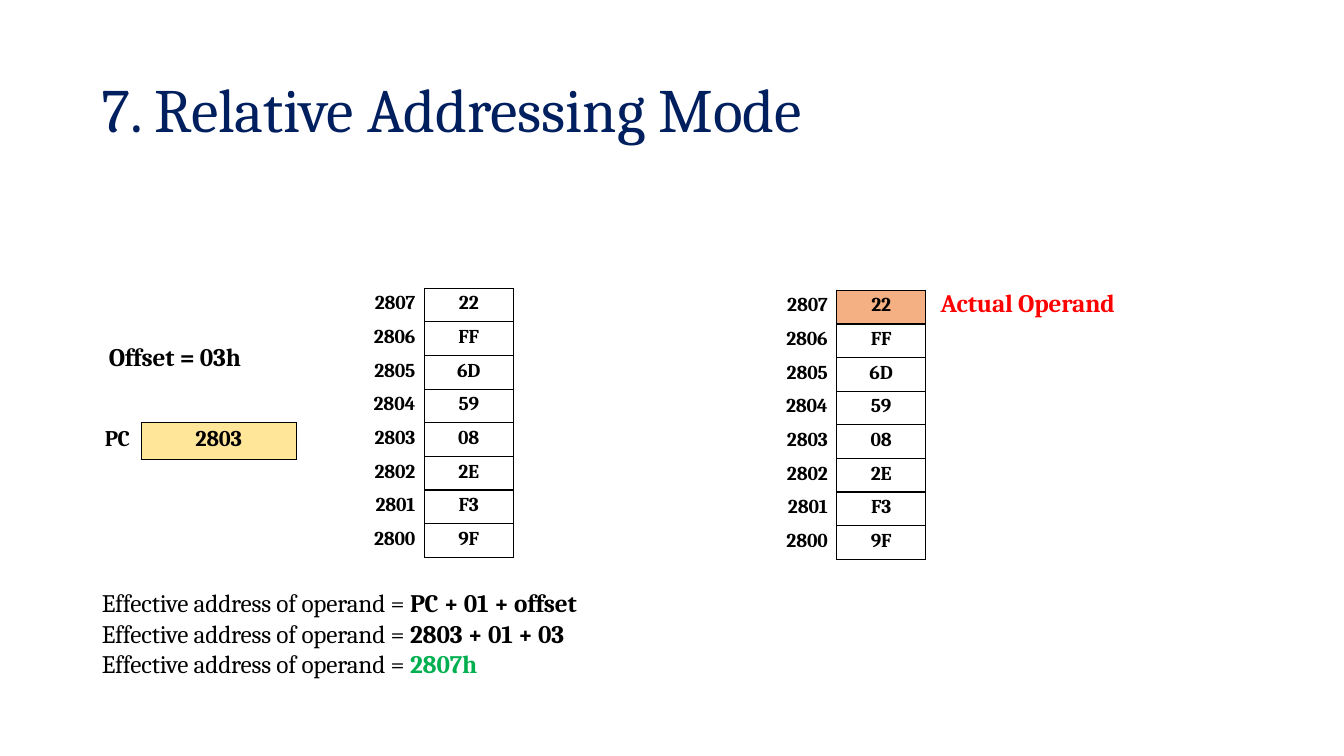
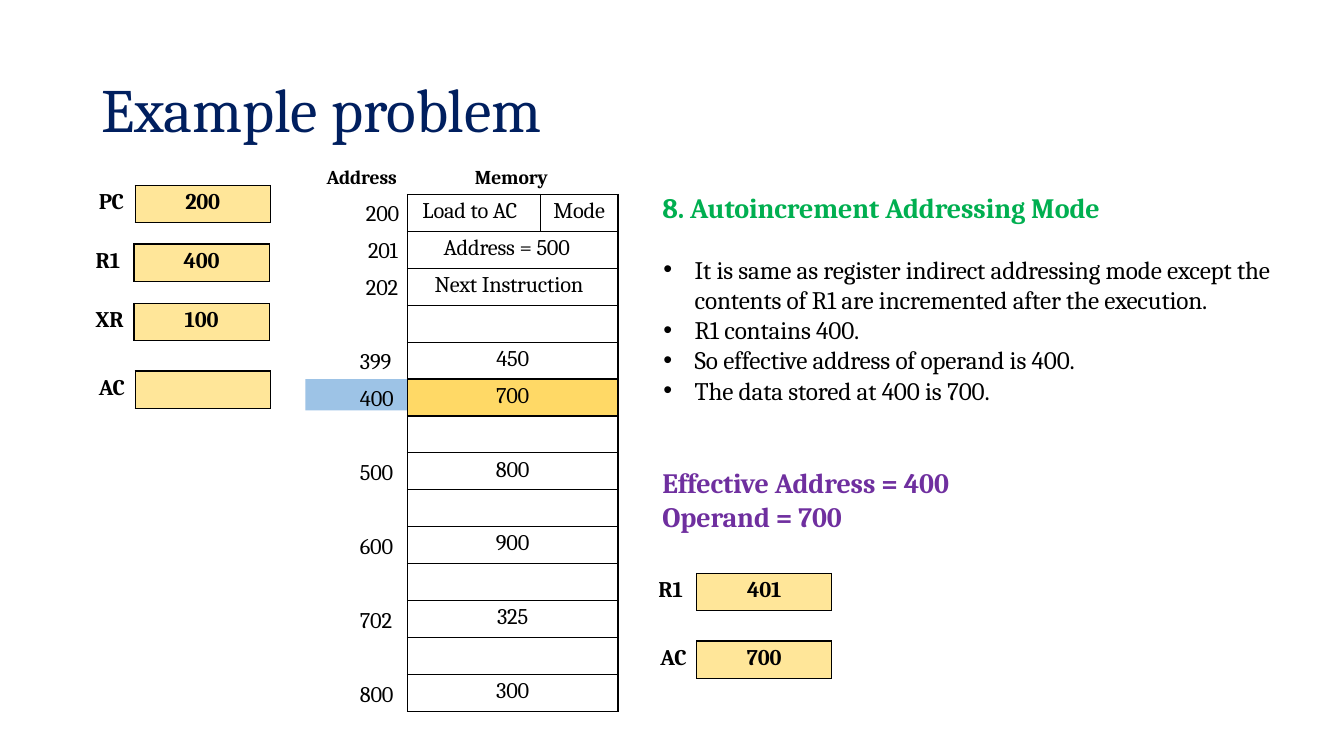
from dataclasses import dataclass
from typing import Optional, Sequence

import lxml.etree
import pptx
import pptx.dml.color
import pptx.enum.shapes
import pptx.enum.text
import pptx.oxml.ns
import pptx.presentation
import pptx.shapes.base
import pptx.slide
import pptx.table
import pptx.text.text
import pptx.util

Inches = pptx.util.Inches
Align = pptx.enum.text.PP_ALIGN

FONT = "Cambria"
BLACK, NAVY, GREEN, RED, PURPLE = "000000", "001F5F", "00AF50", "FF0000", "6F2F9F"
REGISTER_FILL, OPERAND_FILL = "FFE699", "F4B083"
ADDRESS_FILL, MEMORY_FILL = "9DC3E6", "FFD966"
ROW_HEIGHT = 5.13 / 14
MEMORY_LEFT, MEMORY_TOP = 4.04, 1.93


@dataclass(frozen=True)
class Run:
    text: str
    size: float = 18
    bold: bool = False
    color: str = BLACK


@dataclass(frozen=True)
class Register:
    label: str
    value: str
    left: float
    top: float
    label_width: float = 0.5
    box_width: float = 1.34


@dataclass(frozen=True)
class MemoryRow:
    address: str = ""
    content: str = ""
    indent: Optional[float] = None
    mode: str = ""
    address_left: float = 3.57
    selected: bool = False


REGISTERS = (
    Register("PC", "200", 0.84, 1.84),
    Register("R1", "400", 0.81, 2.42, 0.52),
    Register("XR", "100", 0.81, 3.01, 0.52),
    Register("AC", "", 0.84, 3.68),
    Register("R1", "401", 6.39, 5.69, 0.52),
    Register("AC", "700", 6.41, 6.36),
)

MEMORY = (
    MemoryRow("200", "Load to AC", 0.15, "Mode", 3.63),
    MemoryRow("201", "Address = 500", 0.36, address_left=3.65),
    MemoryRow("202", "Next Instruction", 0.27, address_left=3.63),
    MemoryRow(),
    MemoryRow("399", "450"),
    MemoryRow("400", "700", selected=True),
    MemoryRow(),
    MemoryRow("500", "800"),
    MemoryRow(),
    MemoryRow("600", "900"),
    MemoryRow(),
    MemoryRow("702", "325"),
    MemoryRow(),
    MemoryRow("800", "300"),
)


def rgb(color: str) -> pptx.dml.color.RGBColor:
    return pptx.dml.color.RGBColor.from_string(color)


def add_run(paragraph: pptx.text.text._Paragraph, item: Run) -> None:
    run = paragraph.add_run()
    run.text = item.text
    run.font.name = FONT
    run.font.size = pptx.util.Pt(item.size)
    run.font.bold = item.bold
    run.font.color.rgb = rgb(item.color)
    run._r.get_or_add_rPr().set("spc", "-10")


def add_bullet(paragraph: pptx.text.text._Paragraph) -> None:
    properties = paragraph._p.get_or_add_pPr()
    properties.set("marL", str(Inches(0.33)))
    properties.set("indent", str(Inches(-0.31)))
    for tag, name, value in (("a:buFont", "typeface", "Arial"), ("a:buChar", "char", "•")):
        lxml.etree.SubElement(properties, pptx.oxml.ns.qn(tag)).set(name, value)


def fill_frame(shape: pptx.shapes.base.BaseShape, paragraphs: Sequence[Sequence[Run]],
               left: float = 0.01, top: float = 0.01, bulleted: bool = False) -> None:
    """Put paragraphs in a shape, with the given left and top margins."""
    frame = shape.text_frame
    frame.word_wrap = True
    frame.vertical_anchor = pptx.enum.text.MSO_ANCHOR.TOP
    frame.margin_left, frame.margin_top = Inches(left), Inches(top)
    frame.margin_right = frame.margin_bottom = 0
    for index, runs in enumerate(paragraphs):
        paragraph = frame.add_paragraph() if index else frame.paragraphs[0]
        paragraph.alignment = Align.LEFT
        if bulleted:
            add_bullet(paragraph)
        for run in runs:
            add_run(paragraph, run)


def add_text(slide: pptx.slide.Slide, left: float, top: float, width: float, height: float,
             *paragraphs: Sequence[Run], bulleted: bool = False) -> None:
    box = slide.shapes.add_textbox(Inches(left), Inches(top), Inches(width), Inches(height))
    fill_frame(box, paragraphs, left=0 if bulleted else 0.01, bulleted=bulleted)


def add_borders(cell: pptx.table._Cell, sides: str) -> None:
    """Draw black borders on the sides named by letters of LRTB."""
    properties = cell._tc.get_or_add_tcPr()
    for side in sides:
        line = lxml.etree.SubElement(properties, pptx.oxml.ns.qn(f"a:ln{side}"))
        line.set("w", str(pptx.util.Pt(1)))
        fill = lxml.etree.SubElement(line, pptx.oxml.ns.qn("a:solidFill"))
        lxml.etree.SubElement(fill, pptx.oxml.ns.qn("a:srgbClr")).set("val", BLACK)


def fill_cell(cell: pptx.table._Cell, run: Run, borders: str = "LRTB", fill: Optional[str] = None,
              align: Align = Align.CENTER, left: float = 0, right: float = 0) -> None:
    add_borders(cell, borders)
    if fill:
        cell.fill.solid()
        cell.fill.fore_color.rgb = rgb(fill)
    else:
        cell.fill.background()
    cell.margin_left, cell.margin_right = Inches(left), Inches(right)
    cell.margin_top, cell.margin_bottom = Inches(0.04), 0
    paragraph = cell.text_frame.paragraphs[0]
    paragraph.alignment = align
    if run.text:
        add_run(paragraph, run)


def add_table(slide: pptx.slide.Slide, left: float, top: float, widths: Sequence[float],
              rows: int, row_height: float) -> pptx.table.Table:
    frame = slide.shapes.add_table(rows, len(widths), Inches(left), Inches(top),
                                   Inches(sum(widths)), Inches(rows * row_height))
    table = frame.table
    table.first_row = table.horz_banding = False
    for column, width in zip(table.columns, widths):
        column.width = Inches(width)
    return table


def add_register(slide: pptx.slide.Slide, register: Register) -> None:
    widths = (register.label_width, register.box_width)
    table = add_table(slide, register.left, register.top, widths, 1, 0.37)
    fill_cell(table.cell(0, 0), Run(register.label, 16, True), "R", align=Align.LEFT, left=0.14)
    fill_cell(table.cell(0, 1), Run(register.value, 16, True), fill=REGISTER_FILL)


def add_byte_table(slide: pptx.slide.Slide, left: float, top: float,
                   first_fill: Optional[str] = None) -> None:
    """Draw the bytes at 2807 down to 2800 beside their addresses."""
    values = ("22", "FF", "6D", "59", "08", "2E", "F3", "9F")
    table = add_table(slide, left, top, (0.7, 0.88), len(values), 2.67 / len(values))
    for row, value in enumerate(values):
        fill_cell(table.cell(row, 0), Run(str(2807 - row), 14, True), "R",
                  align=Align.RIGHT, right=0.09)
        fill_cell(table.cell(row, 1), Run(value, 14, True), fill=None if row else first_fill)


def add_address(slide: pptx.slide.Slide, index: int, row: MemoryRow) -> None:
    top = MEMORY_TOP + index * ROW_HEIGHT
    run = Run(row.address, 16)
    if not row.selected:
        add_text(slide, row.address_left - 0.01, top + 0.04, 0.42, 0.28, [run])
        return
    left = 3.03
    band = slide.shapes.add_shape(pptx.enum.shapes.MSO_SHAPE.RECTANGLE, Inches(left), Inches(top),
                                  Inches(MEMORY_LEFT - left), Inches(0.31))
    band.shadow.inherit = False
    band.fill.solid()
    band.fill.fore_color.rgb = rgb(ADDRESS_FILL)
    band.line.fill.background()
    fill_frame(band, [[run]], left=row.address_left - left, top=0.05)


def add_memory(slide: pptx.slide.Slide) -> None:
    for left, heading in ((3.23, "Address"), (4.7, "Memory")):
        add_text(slide, left, 1.63, 0.85, 0.25, [Run(heading, 14, True)])
    for index, row in enumerate(MEMORY):
        if row.address:
            add_address(slide, index, row)
    table = add_table(slide, MEMORY_LEFT, MEMORY_TOP, (1.32, 0.77), len(MEMORY), ROW_HEIGHT)
    for index, row in enumerate(MEMORY):
        content, mode = table.cell(index, 0), table.cell(index, 1)
        fill = MEMORY_FILL if row.selected else None
        align = Align.CENTER if row.indent is None else Align.LEFT
        fill_cell(content, Run(row.content, 16), fill=fill, align=align, left=row.indent or 0)
        fill_cell(mode, Run(row.mode, 16), fill=fill)
        if not row.mode:
            content.merge(mode)


def add_titled_slide(presentation: pptx.presentation.Presentation, title: str) -> pptx.slide.Slide:
    slide = presentation.slides.add_slide(presentation.slide_layouts[6])
    add_text(slide, 1, 0.69, 11, 0.76, [Run(title, 44, color=NAVY)])
    return slide


def build_relative_slide(presentation: pptx.presentation.Presentation) -> None:
    slide = add_titled_slide(presentation, "7. Relative Addressing Mode")
    add_byte_table(slide, 3.51, 2.86)
    add_byte_table(slide, 7.6, 2.88, OPERAND_FILL)
    add_register(slide, Register("PC", "2803", 0.9, 4.19, box_width=1.54))
    add_text(slide, 1.07, 3.38, 1.6, 0.32, [Run("Offset = 03h", bold=True)])
    add_text(slide, 9.32, 2.84, 2, 0.32, [Run("Actual Operand", bold=True, color=RED)])
    results = (("PC + 01 + offset", BLACK), ("2803 + 01 + 03", BLACK), ("2807h", GREEN))
    add_text(slide, 1, 5.82, 5.2, 0.92,
             *([Run("Effective address of operand = "), Run(result, bold=True, color=color)]
               for result, color in results))


def build_example_slide(presentation: pptx.presentation.Presentation) -> None:
    slide = add_titled_slide(presentation, "Example problem")
    add_memory(slide)
    for register in REGISTERS:
        add_register(slide, register)
    add_text(slide, 6.56, 1.88, 4.8, 0.35,
             [Run("8. Autoincrement Addressing Mode", 20, True, GREEN)])
    points = (
        "It is same as register indirect addressing mode except the contents of R1 are "
        "incremented after the execution.",
        "R1 contains 400.",
        "So effective address of operand is 400.",
        "The data stored at 400 is 700.",
    )
    add_text(slide, 6.56, 2.51, 6.25, 1.53, *([Run(point)] for point in points), bulleted=True)
    add_text(slide, 6.56, 4.61, 3.2, 0.69,
             *([Run(line, 20, True, PURPLE)] for line in ("Effective Address = 400", "Operand = 700")))


def main() -> None:
    presentation = pptx.Presentation()
    presentation.slide_width, presentation.slide_height = Inches(13.33), Inches(7.5)
    build_relative_slide(presentation)
    build_example_slide(presentation)
    presentation.save("out.pptx")


if __name__ == "__main__":
    main()
